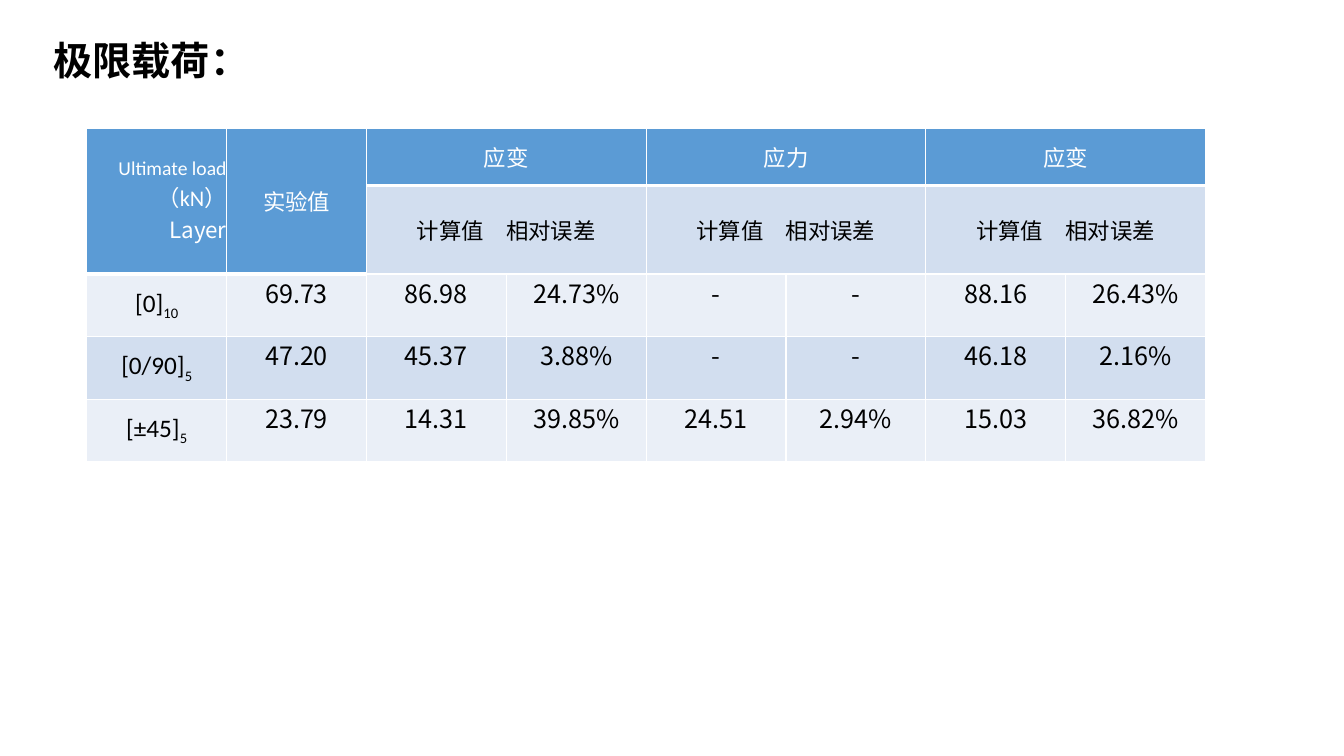
from dataclasses import dataclass

from lxml.etree import SubElement
from pptx import Presentation
from pptx.dml.color import RGBColor
from pptx.enum.text import MSO_ANCHOR, MSO_AUTO_SIZE, PP_ALIGN
from pptx.oxml.ns import qn
from pptx.util import Pt


@dataclass(frozen=True)
class Theme:
    """Colours, fonts and type sizes of the deck."""
    header: RGBColor = RGBColor(0x5B, 0x9B, 0xD5)
    band_dark: RGBColor = RGBColor(0xD2, 0xDE, 0xEF)
    band_light: RGBColor = RGBColor(0xEA, 0xEF, 0xF7)
    white: RGBColor = RGBColor(0xFF, 0xFF, 0xFF)
    black: RGBColor = RGBColor(0, 0, 0)
    latin: str = "Calibri"
    sans: str = "Noto Sans CJK SC"
    title_size: int = 28
    data_size: int = 18
    header_size: int = 16
    corner_size: int = 14


THEME = Theme()
GROUPS = ["应变", "应力", "应变"]
LOADS = [
    ("[0]", "10", ["69.73", "86.98", "24.73%", "-", "-", "88.16", "26.43%"]),
    ("[0/90]", "5", ["47.20", "45.37", "3.88%", "-", "-", "46.18", "2.16%"]),
    ("[±45]", "5", ["23.79", "14.31", "39.85%", "24.51", "2.94%", "15.03", "36.82%"]),
]


def set_font(font, name, size, color):
    """Set the typeface, size in points and colour of a font."""
    font.name, font.size = name, Pt(size)
    font.color.rgb = color


def style_cell(cell, fill, bottom=1):
    """Fill a cell, clear its margins and draw its white borders."""
    cell.margin_left = cell.margin_right = cell.margin_top = cell.margin_bottom = 0
    properties = cell._tc.get_or_add_tcPr()
    for side, width in (("L", 1), ("R", 1), ("T", 1), ("B", bottom)):
        line = SubElement(properties, qn(f"a:ln{side}"), w=str(Pt(width)))
        color = SubElement(line, qn("a:solidFill"))
        SubElement(color, qn("a:srgbClr"), val=str(THEME.white))
    cell.fill.solid()
    cell.fill.fore_color.rgb = fill


def write_cell(cell, text, name, size, color, anchor=MSO_ANCHOR.MIDDLE):
    """Write centred text in a cell and return its paragraph."""
    cell.vertical_anchor = anchor
    para = cell.text_frame.paragraphs[0]
    para.alignment = PP_ALIGN.CENTER
    para.add_run().text = text
    set_font(para.font, name, size, color)
    return para


def write_corner(cell):
    """Write the three right-aligned lines of the corner cell."""
    cell.vertical_anchor = MSO_ANCHOR.MIDDLE
    para = cell.text_frame.paragraphs[0]
    para.alignment = PP_ALIGN.RIGHT
    lines = [("Ultimate load", THEME.latin, THEME.corner_size),
             ("（kN）", THEME.latin, THEME.header_size),
             ("Layer", THEME.sans, THEME.header_size)]
    for index, (text, name, size) in enumerate(lines):
        if index:
            para.add_line_break()
        span = para.add_run()
        span.text = text
        set_font(span.font, name, size, THEME.white)


def add_title(page, left, top, width, height):
    """Place the page title in the given box."""
    box = page.shapes.title
    box.left, box.top, box.width, box.height = Pt(left), Pt(top), Pt(width), Pt(height)
    frame = box.text_frame
    frame.text = "极限载荷："
    frame.auto_size = MSO_AUTO_SIZE.NONE
    frame.vertical_anchor = MSO_ANCHOR.MIDDLE
    para = frame.paragraphs[0]
    para.alignment = PP_ALIGN.LEFT
    set_font(para.font, THEME.latin, THEME.title_size, THEME.black)
    para.font.bold = True


def add_load_table(page, left, top, width, header_height, row_height):
    """Place the table of ultimate loads in the given box."""
    columns = 2 + 2 * len(GROUPS)
    height = 2 * header_height + len(LOADS) * row_height
    table = page.shapes.add_table(2 + len(LOADS), columns, Pt(left), Pt(top),
                                  Pt(width), Pt(height)).table
    table.first_row = table.horz_banding = False
    for column in table.columns:
        column.width = Pt(width / columns)
    for row_index, row in enumerate(table.rows):
        row.height = Pt(header_height if row_index < 2 else row_height)
        for column_index, cell in enumerate(row.cells):
            is_header = row_index == 0 or (row_index == 1 and column_index < 2)
            band = THEME.band_dark if row_index % 2 else THEME.band_light
            style_cell(cell, THEME.header if is_header else band, 3 if is_header else 1)

    for column in range(2):
        table.cell(0, column).merge(table.cell(1, column))
    write_corner(table.cell(0, 0))
    write_cell(table.cell(0, 1), "实验值", THEME.sans, THEME.header_size, THEME.white)
    for index, group in enumerate(GROUPS):
        column = 2 + 2 * index
        for row, text, color in ((0, group, THEME.white),
                                 (1, "计算值　相对误差", THEME.black)):
            cell = table.cell(row, column)
            cell.merge(table.cell(row, column + 1))
            write_cell(cell, text, THEME.sans, THEME.header_size, color)

    for row, (layer, count, values) in enumerate(LOADS, start=2):
        para = write_cell(table.cell(row, 0), layer, THEME.latin, THEME.data_size, THEME.black)
        subscript = para.add_run()
        subscript.text = count
        subscript.font._element.set("baseline", "-25000")
        for column, value in enumerate(values, start=1):
            write_cell(table.cell(row, column), value, THEME.sans, THEME.data_size,
                       THEME.black, MSO_ANCHOR.TOP)


def main():
    """Build the deck and save it."""
    deck = Presentation()
    deck.slide_width, deck.slide_height = Pt(960), Pt(540)
    page = deck.slides.add_slide(deck.slide_layouts[5])
    add_title(page, 31, 22.5, 192, 41)
    add_load_table(page, 62, 91.5, 799.2, 41, 44.8)
    deck.save("out.pptx")


if __name__ == "__main__":
    main()
